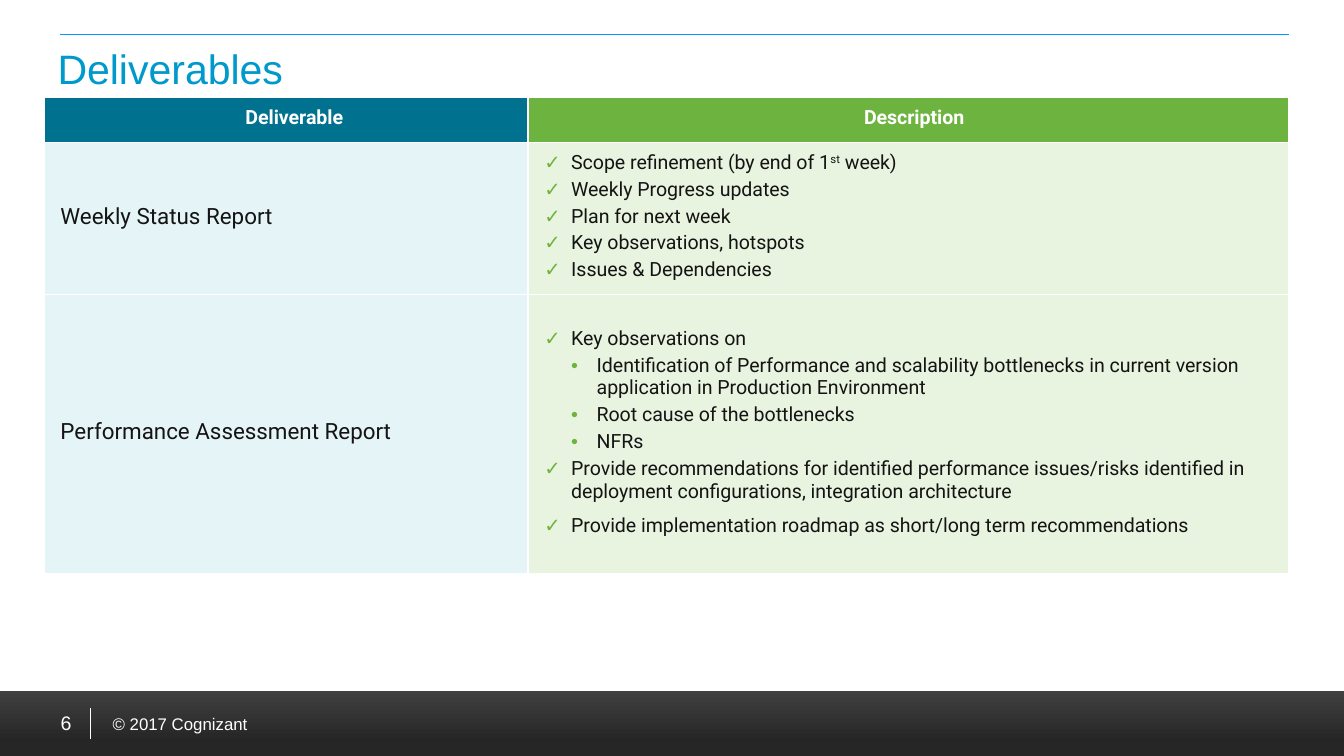
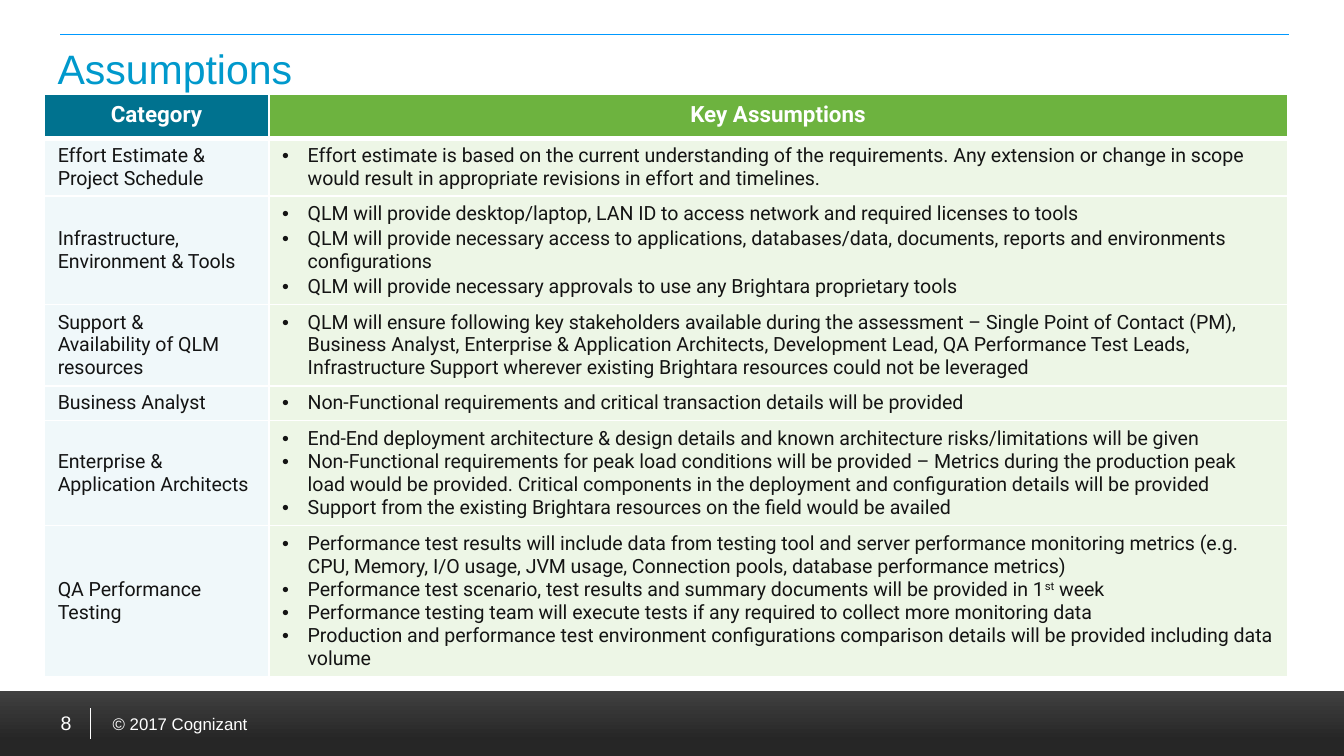
from pptx import Presentation
from pptx.dml.color import RGBColor
from pptx.enum.shapes import MSO_CONNECTOR as CONN, MSO_SHAPE as SHAPE
from pptx.enum.text import MSO_ANCHOR as ANCHOR, PP_ALIGN as ALIGN
from pptx.oxml.ns import qn
from pptx.util import Inches, Pt
from lxml.etree import SubElement

WHITE = RGBColor(0xFF, 0xFF, 0xFF)
INK = RGBColor(0x14, 0x14, 0x14)
TITLE_BLUE = RGBColor(0x00, 0x99, 0xCC)
RULE_BLUE = RGBColor(0x00, 0x99, 0xFF)
BAND_DARK = RGBColor(0x26, 0x26, 0x26)
BAND_LIGHT = RGBColor(0x40, 0x40, 0x40)
TEAL = RGBColor(0x00, 0x72, 0x8F)
GREEN = RGBColor(0x6D, 0xB3, 0x3F)

# Paragraph styles: left margin, first-line indent, space before
# (a fraction of the line, or Pt), bullet, bullet colour, level
STYLES = {
    "plain": (0, 0, 0, None, None, 0),
    "inset": (0.12, 0, 0, None, None, 0),
    "check": (0.32, -0.2, 0.2, "✓", GREEN, 0),
    "check_gap": (0.32, -0.2, Pt(6), "✓", GREEN, 0),
    "sub": (0.51, -0.19, 0.2, "•", GREEN, 1),
    "dot": (0.19, -0.19, 0, "•", None, 0),
    "dot_gap": (0.19, -0.19, Pt(1), "•", None, 0),
}


def styled(style, *texts):
    return [(style, text) for text in texts]


# Content; text between carets is superscript
SLIDES = [
    {
        "title": "Deliverables", "number": "6", "top": 0.72,
        "cols": [3.6, 5.66], "heights": [0.34, 1.13, 2.08],
        "fills": [RGBColor(0xE5, 0xF4, 0xF7), RGBColor(0xE9, 0xF4, 0xE0)],
        "head_size": 10.5, "sizes": [12, 10.5], "head_border": 1,
        "head_anchor": ANCHOR.MIDDLE,
        "head_margins": (0, 0.02, 0, 0.05), "margins": (0, 0.02, 0, 0.05),
        "head": [styled("inset", "Deliverable"), styled("inset", "Description ")],
        "rows": [
            (styled("inset", "Weekly Status Report"),
             styled("check", "Scope refinement (by end of 1^st^ week)",
                    "Weekly Progress updates", "Plan for next week",
                    "Key observations, hotspots", "Issues & Dependencies")),
            (styled("inset", "Performance Assessment Report"),
             styled("check", "Key observations on")
             + styled("sub",
                      "Identification of Performance and scalability bottlenecks in "
                      "current version application in Production Environment",
                      "Root cause of the bottlenecks", "NFRs")
             + styled("check",
                      "Provide recommendations for identified performance issues/risks "
                      "identified in deployment configurations, integration architecture")
             + styled("check_gap",
                      "Provide implementation roadmap as short/long term "
                      "recommendations")),
        ],
    },
    {
        "title": "Assumptions", "number": "8", "top": 0.7,
        "cols": [1.67, 7.58], "heights": [0.33, 0.42, 0.47, 0.55, 0.26, 0.59, 1.09],
        "fills": [RGBColor(0xF0, 0xF8, 0xFA), RGBColor(0xED, 0xF6, 0xE6)],
        "head_size": 12, "sizes": [10.5, 10.5], "head_border": 3,
        "head_anchor": ANCHOR.TOP,
        "head_margins": (0.1, 0.06, 0.1, 0.06), "margins": (0.1, 0.04, 0.1, 0.04),
        "head": [styled("plain", "Category"), styled("plain", "Key Assumptions")],
        "rows": [
            (styled("plain", "Effort Estimate & Project Schedule"),
             styled("dot",
                    "Effort estimate is based on the current understanding of the "
                    "requirements. Any extension or change in scope would result in "
                    "appropriate revisions in effort and timelines.")),
            (styled("plain", "Infrastructure, Environment & Tools"),
             styled("dot_gap",
                    "QLM will provide desktop/laptop, LAN ID to access network and "
                    "required licenses to tools",
                    "QLM will provide necessary access to applications, databases/data, "
                    "documents, reports and environments configurations",
                    "QLM will provide necessary approvals to use any Brightara "
                    "proprietary tools")),
            (styled("plain", "Support &", "Availability of QLM resources"),
             styled("dot",
                    "QLM will ensure following key stakeholders available during the "
                    "assessment – Single Point of Contact (PM), Business Analyst, "
                    "Enterprise & Application Architects, Development Lead, QA "
                    "Performance Test Leads, Infrastructure Support wherever existing "
                    "Brightara resources could not be leveraged")),
            (styled("plain", "Business Analyst"),
             styled("dot",
                    "Non-Functional requirements and critical transaction details will "
                    "be provided")),
            (styled("plain", "Enterprise & Application Architects"),
             styled("dot",
                    "End-End deployment architecture & design details and known "
                    "architecture risks/limitations will be given",
                    "Non-Functional requirements for peak load conditions will be "
                    "provided – Metrics during the production peak load would be "
                    "provided. Critical components in the deployment and configuration "
                    "details will be provided",
                    "Support from the existing Brightara resources on the field would "
                    "be availed")),
            (styled("plain", "QA Performance Testing"),
             styled("dot",
                    "Performance test results will include data from testing tool and "
                    "server performance monitoring metrics (e.g. CPU, Memory, I/O usage, "
                    "JVM usage, Connection pools, database performance metrics)",
                    "Performance test scenario, test results and summary documents will "
                    "be provided in 1^st^ week",
                    "Performance testing team will execute tests if any required to "
                    "collect more monitoring data",
                    "Production and performance test environment configurations "
                    "comparison details will be provided including data volume")),
        ],
    },
]


def set_font(font, name, size, color, bold=False):
    font.name, font.size, font.bold = name, Pt(size), bold
    font.color.rgb = color


def add_label(s, box, text, size, color, align=ALIGN.LEFT, anchor=ANCHOR.MIDDLE):
    tf = s.shapes.add_textbox(*map(Inches, box)).text_frame
    tf.word_wrap = True
    tf.vertical_anchor = anchor
    tf.text = text
    p = tf.paragraphs[0]
    p.alignment = align
    set_font(p.runs[0].font, "Arial", size, color)


def add_rule(s, x1, y1, x2, y2, color):
    line = s.shapes.add_connector(CONN.STRAIGHT, *map(Inches, (x1, y1, x2, y2)))
    line.line.color.rgb = color
    line.line.width = Pt(0.5)
    SubElement(line._element.spPr, qn("a:effectLst"))


def add_frame(s, title, number):
    # Footer band, darkest at the bottom
    band = s.shapes.add_shape(SHAPE.RECTANGLE, *map(Inches, (0, 5.14, 10, 0.49)))
    band.shadow.inherit = False
    band.line.fill.background()
    band.fill.gradient()
    band.fill.gradient_angle = 90
    stops = [(0.24, BAND_DARK), (1, BAND_LIGHT)]
    for stop, (position, color) in zip(band.fill.gradient_stops, stops):
        stop.position, stop.color.rgb = position, color

    add_label(s, (0.74, 5.26, 2.1, 0.25), "© 2017 Cognizant", 9, WHITE,
              anchor=ANCHOR.TOP)
    add_rule(s, 0.67, 5.27, 0.67, 5.5, WHITE)
    add_rule(s, 0.45, 0.26, 9.59, 0.26, RULE_BLUE)
    add_label(s, (0.33, 0.26, 9.26, 0.5), title, 22, TITLE_BLUE)
    add_label(s, (0.04, 5.17, 0.59, 0.41), number, 10.5, WHITE, ALIGN.RIGHT)


def format_paragraph(p, style, first):
    left, indent, before, bullet, bullet_color, level = STYLES[style]
    p.level = level
    pPr = p._p.get_or_add_pPr()
    pPr.set("marL", str(Inches(left)))
    pPr.set("indent", str(Inches(indent)))
    if before and not first:
        if isinstance(before, float):
            spacing = SubElement(pPr, qn("a:spcBef"))
            SubElement(spacing, qn("a:spcPct"), val=str(round(before * 100000)))
        else:
            p.space_before = before
    if bullet_color:
        SubElement(SubElement(pPr, qn("a:buClr")), qn("a:srgbClr"),
                   val=str(bullet_color))
    if bullet:
        SubElement(pPr, qn("a:buFont"), typeface="Arial")
        SubElement(pPr, qn("a:buChar"), char=bullet)
    else:
        SubElement(pPr, qn("a:buNone"))


def set_borders(cell, top, bottom):
    tcPr = cell._tc.get_or_add_tcPr()
    for side, width in (("L", 1), ("R", 1), ("T", top), ("B", bottom)):
        ln = SubElement(tcPr, qn("a:ln" + side), w=str(Pt(width)))
        SubElement(SubElement(ln, qn("a:solidFill")), qn("a:srgbClr"), val=str(WHITE))


def fill_cell(cell, paragraphs, fill, size, color, margins, anchor, bold, align):
    cell.fill.solid()
    cell.fill.fore_color.rgb = fill
    (cell.margin_left, cell.margin_top,
     cell.margin_right, cell.margin_bottom) = map(Inches, margins)
    cell.vertical_anchor = anchor
    tf = cell.text_frame
    for i, (style, text) in enumerate(paragraphs):
        p = tf.add_paragraph() if i else tf.paragraphs[0]
        format_paragraph(p, style, first=i == 0)
        p.alignment = align
        for j, part in enumerate(text.split("^")):
            r = p.add_run()
            r.text = part
            set_font(r.font, "Roboto", size, color, bold)
            if j % 2:
                r._r.get_or_add_rPr().set("baseline", "30000")


def add_grid(s, data):
    rows = [data["head"], *data["rows"]]
    box = (0.33, data["top"], sum(data["cols"]), sum(data["heights"]))
    table = s.shapes.add_table(len(rows), len(data["cols"]),
                               *map(Inches, box)).table
    for col, width in zip(table.columns, data["cols"]):
        col.width = Inches(width)
    for row, height in zip(table.rows, data["heights"]):
        row.height = Inches(height)

    for i, row in enumerate(rows):
        for j, paragraphs in enumerate(row):
            cell = table.cell(i, j)
            set_borders(cell, data["head_border"] if i == 1 else 1,
                        data["head_border"] if i == 0 else 1)
            if i == 0:
                fill_cell(cell, paragraphs, (TEAL, GREEN)[j], data["head_size"], WHITE,
                          data["head_margins"], data["head_anchor"], True, ALIGN.CENTER)
            else:
                fill_cell(cell, paragraphs, data["fills"][j], data["sizes"][j], INK,
                          data["margins"], ANCHOR.MIDDLE, False, ALIGN.LEFT)


def main():
    prs = Presentation()
    prs.slide_width = Inches(10)
    prs.slide_height = prs.slide_width * 9 // 16
    for data in SLIDES:
        s = prs.slides.add_slide(prs.slide_layouts[6])
        add_frame(s, data["title"], data["number"])
        add_grid(s, data)
    prs.save("out.pptx")


if __name__ == "__main__":
    main()
